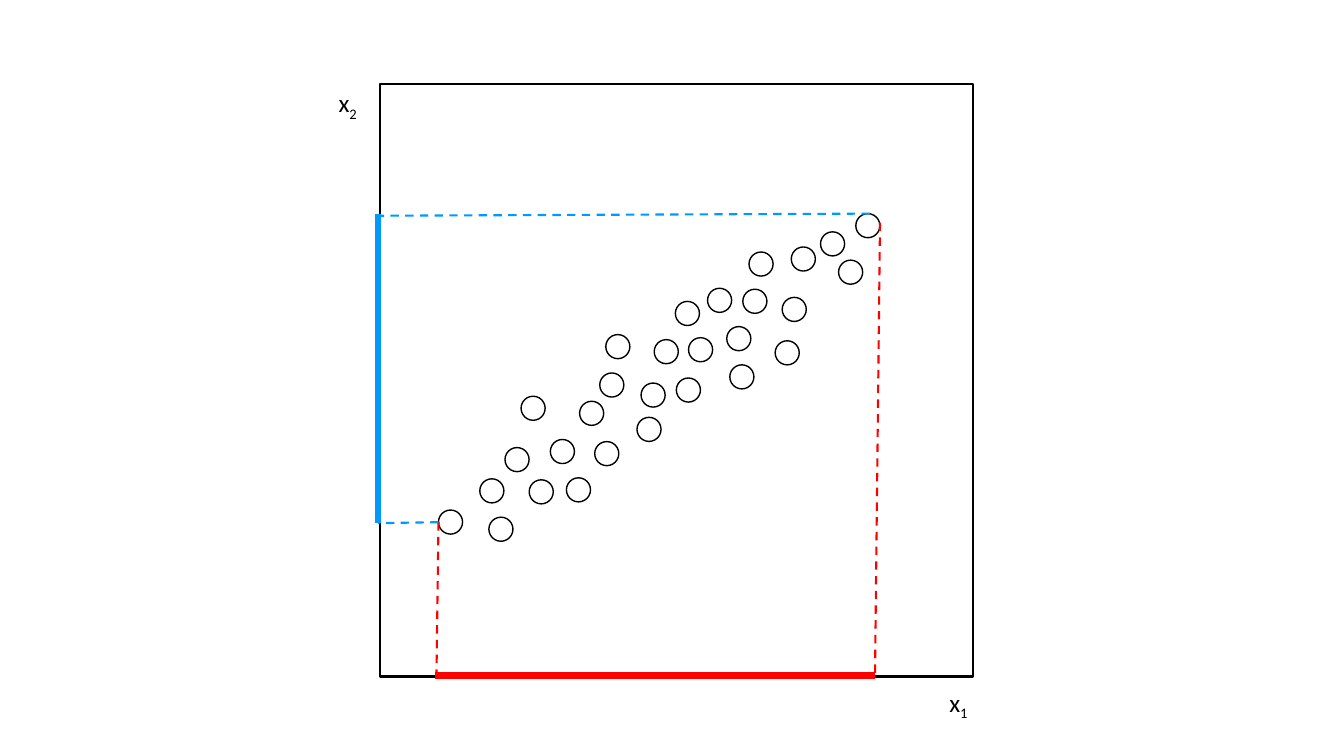
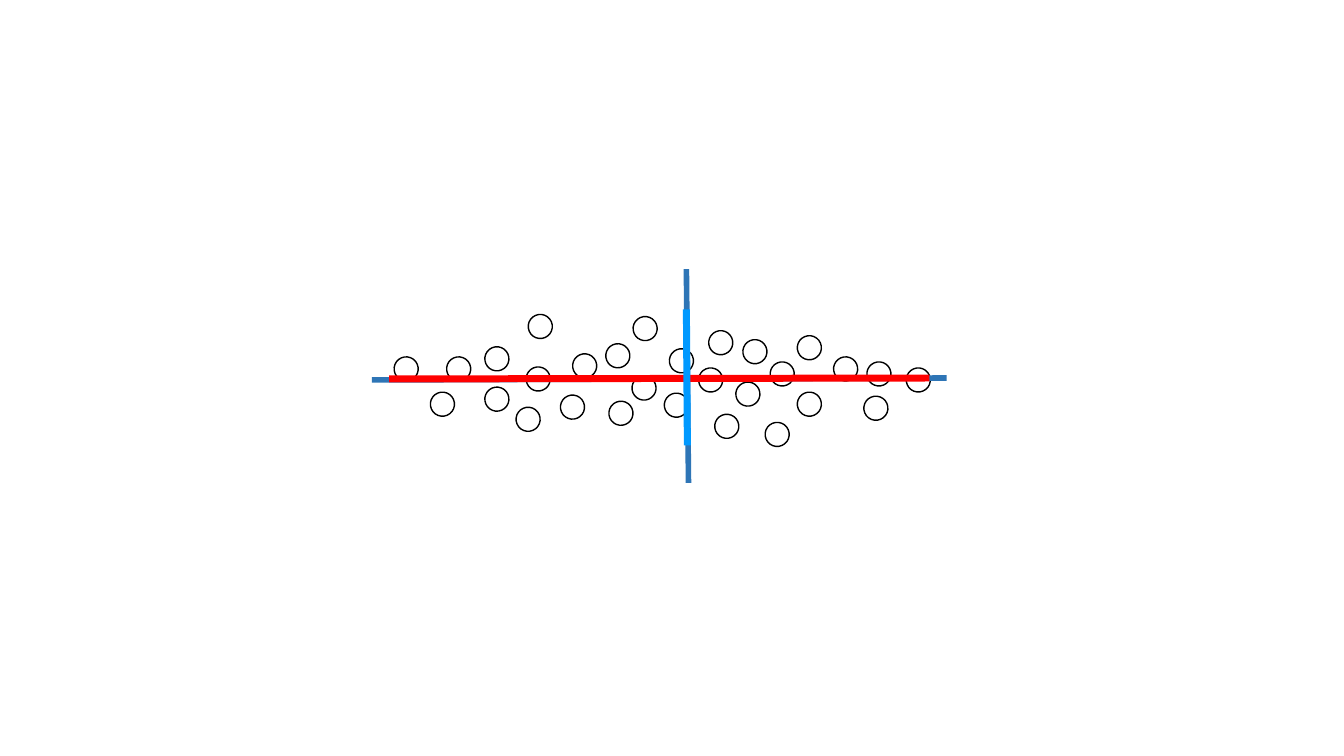
import lxml.etree
import pptx
import pptx.util
import pptx.dml.color
import pptx.enum.dml
import pptx.enum.shapes
import pptx.enum.text
import pptx.oxml.ns

Pt = pptx.util.Pt

# Shared look
FONT = "Calibri"
BLACK, RED, BLUE, AXIS_BLUE = "000000", "FF0000", "0099FF", "2E75B6"
DOT_SIZE = 17.2
THIN, THICK, AXIS_WIDTH = 1.5, 5, 4

# Slide 1: left and top of each dot, in points
SCATTER_DOTS = [
    (482.4, 215.3), (432.7, 239), (372.2, 283), (521.3, 260.6), (553.7, 243.4),
    (349.2, 369.4), (313.2, 364.3), (455, 298.1), (404.6, 341.3), (535, 180),
    (342.7, 342), (378, 342.7), (360.7, 319.7), (586.1, 165.6), (505.4, 205.9),
    (491.8, 241.2), (414, 286.6), (424.8, 315.4), (393.1, 313.9), (599, 185.8),
    (611.3, 152.6), (565.2, 176.4), (457.9, 273.6), (530.6, 206.6), (428.4, 266.4),
    (483.1, 270), (467.3, 242.6), (519.1, 233.3), (558.7, 212.4),
]
FRAME = (271.4, 59.8, 423.4, 423.4)
AXIS_LABELS = [("x", "1", 671, 487.4), ("x", "2", 234.7, 59)]
# Start, end, colour, width, dashed
SCATTER_LINES = [
    ((313.2, 373), (311.8, 481.7), RED, THIN, True),
    ((628.6, 159.1), (625, 484.6), RED, THIN, True),
    ((313.2, 373), (270, 373.7), BLUE, THIN, True),
    ((621.4, 152.6), (271.4, 154.1), BLUE, THIN, True),
    ((311, 482.4), (625, 482.4), RED, THICK, False),
    ((270, 373.7), (270, 152.6), BLUE, THICK, False),
]

# Slide 2: the dots turned onto their main axes
TURN = 36.7
TURNED_DOTS = [
    (506.2, 236.2), (452.2, 226.1), (377.3, 224.6), (510.5, 295.9), (546.5, 301.7),
    (307.4, 280.1), (281.5, 254.9), (434.9, 286.6), (368.6, 290.9), (569.5, 239.8),
    (319, 254.9), (346.3, 276.5), (346.3, 247.7), (619.2, 258.5), (530.6, 242.6),
    (499, 262.8), (409, 252.7), (400.3, 282.2), (375.8, 262.1), (617, 283),
    (647.3, 262.8), (595.4, 254.9), (451.4, 268.6), (550.1, 258.5), (432.7, 245.5),
    (474.5, 280.8), (478.1, 249.1), (525.6, 272.9), (569.5, 280.1),
]
TURNED_LINES = [
    ((265.7, 271.4), (676.1, 270), AXIS_BLUE, AXIS_WIDTH, False),
    ((490.3, 192.2), (491.8, 344.9), AXIS_BLUE, AXIS_WIDTH, False),
    ((277.9, 270.7), (663.8, 270), RED, THICK, False),
    ((491, 318.2), (490.3, 221), BLUE, THICK, False),
]


def color(value):
    return pptx.dml.color.RGBColor.from_string(value)


def add_outline(page, kind, left, top, width, height, line_width, rotation=0):
    shape = page.shapes.add_shape(kind, Pt(left), Pt(top), Pt(width), Pt(height))
    shape.shadow.inherit = False
    shape.fill.background()
    shape.line.color.rgb = color(BLACK)
    shape.line.width = Pt(line_width)
    shape.rotation = rotation


def add_dots(page, dots, rotation=0):
    for left, top in dots:
        add_outline(page, pptx.enum.shapes.MSO_SHAPE.OVAL, left, top,
                    DOT_SIZE, DOT_SIZE, 1, rotation)


def add_lines(page, lines):
    for start, end, line_color, width, dashed in lines:
        line = page.shapes.add_connector(
            pptx.enum.shapes.MSO_CONNECTOR.STRAIGHT, *map(Pt, start + end))
        line.line.color.rgb = color(line_color)
        line.line.width = Pt(width)
        if dashed:
            line.line.dash_style = pptx.enum.dml.MSO_LINE.DASH
        # An empty effect list removes the theme shadow
        lxml.etree.SubElement(line._element.spPr, pptx.oxml.ns.qn("a:effectLst"))


def add_text(page, text, left, top, width=28.1, height=28.8, subscript="",
             size=18, text_color=BLACK):
    box = page.shapes.add_textbox(Pt(left), Pt(top), Pt(width), Pt(height))
    box.text_frame.word_wrap = False
    box.text_frame.auto_size = pptx.enum.text.MSO_AUTO_SIZE.SHAPE_TO_FIT_TEXT
    para = box.text_frame.paragraphs[0]
    for part, baseline in ((text, 0), (subscript, -25000)):
        if not part:
            continue
        span = para.add_run()
        span.text = part
        span.font.name = FONT
        span.font.size = Pt(size)
        span.font.color.rgb = color(text_color)
        if baseline:
            span._r.get_or_add_rPr().set("baseline", str(baseline))


def add_page(deck):
    return deck.slides.add_slide(deck.slide_layouts[6])


def main():
    deck = pptx.Presentation()
    deck.slide_width, deck.slide_height = Pt(960), Pt(540)

    # Scatter with its range on each axis
    page = add_page(deck)
    add_outline(page, pptx.enum.shapes.MSO_SHAPE.RECTANGLE, *FRAME, THIN)
    add_dots(page, SCATTER_DOTS)
    for name, index, left, top in AXIS_LABELS:
        add_text(page, name, left, top, subscript=index)
    add_lines(page, SCATTER_LINES)

    # Turned scatter with its main axes
    page = add_page(deck)
    add_dots(page, TURNED_DOTS, TURN)
    add_lines(page, TURNED_LINES)

    deck.save("out.pptx")


if __name__ == "__main__":
    main()
